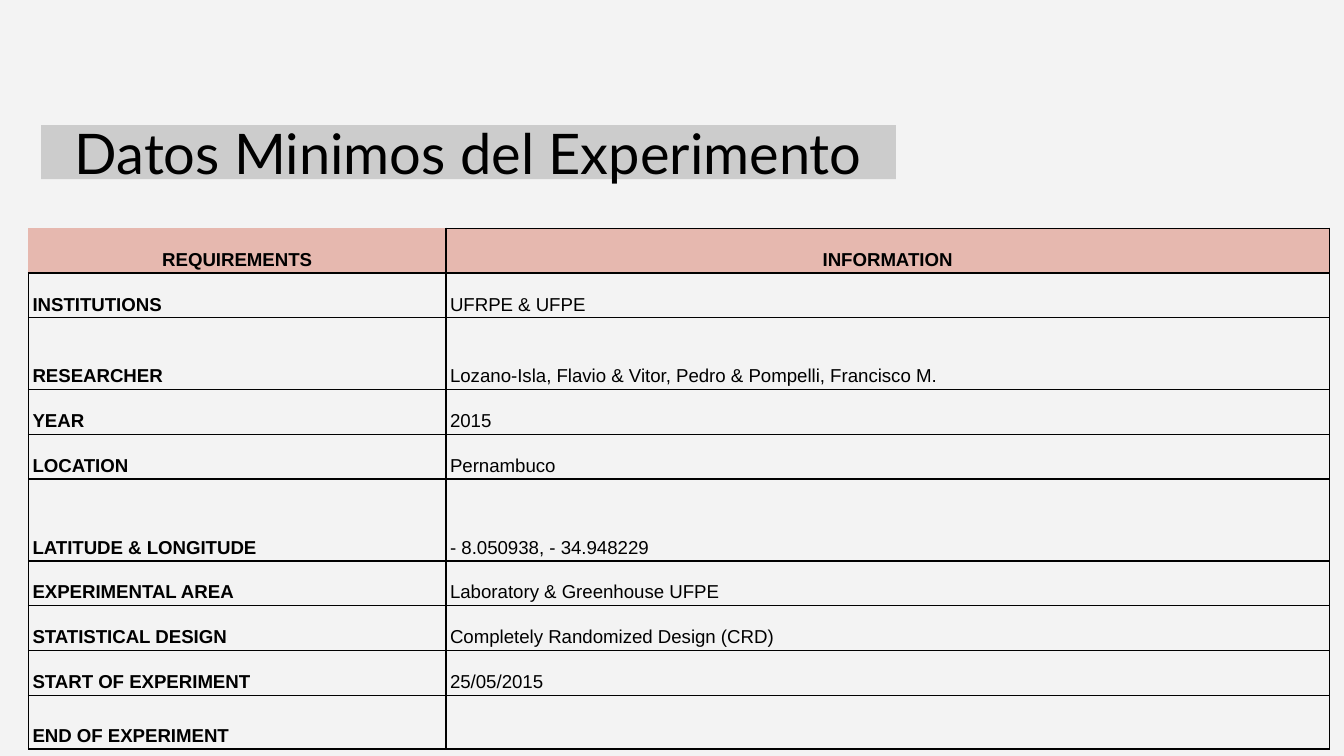
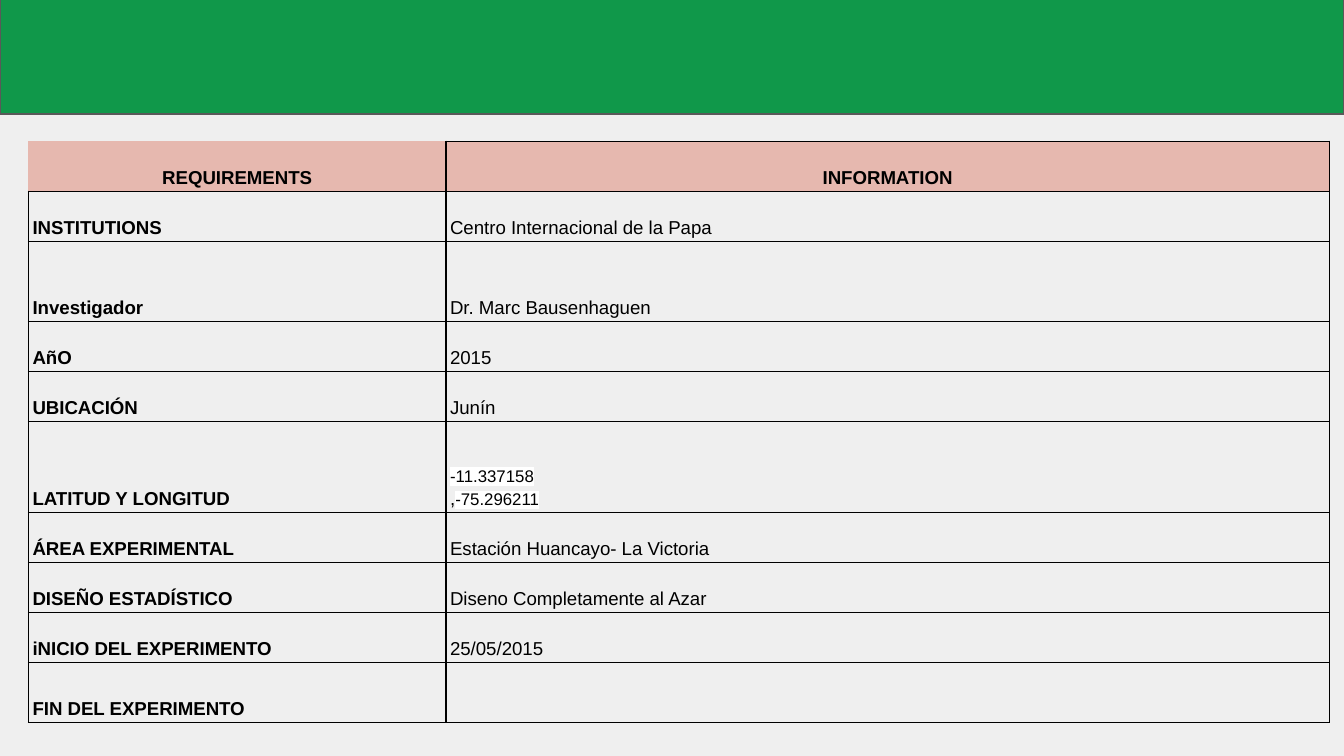
"""Builds two slides that list the minimum data of an experiment."""
from lxml import etree
from pptx import Presentation, util as u
from pptx.dml.color import RGBColor
from pptx.enum import shapes, text
from pptx.oxml import ns

COLORS = {
    "ink": "000000", "header": "E6B8AF", "title": "CCCCCC", "band": "10984A",
    "band_edge": "595959", "highlight": "FFFFFF",
}
HEADINGS = ("REQUIREMENTS", "INFORMATION")
COLUMN_WIDTHS = (223.7, 473.2)
ROW_FACTORS = (1, 1, 1.6, 1, 1, 1.83, 1, 1, 1, 1.2)
TABLE_LEFT = 15.2
BORDER = 0.75
SIDES = ("L", "R", "T", "B")

ENGLISH = {
    "background": "F3F3F3",
    "top": 122.3,
    "row_height": 24,
    "title": "Datos Minimos del Experimento",
    "rows": [
        ("INSTITUTIONS", "UFRPE & UFPE"),
        ("RESEARCHER", "Lozano-Isla, Flavio & Vitor, Pedro & Pompelli, Francisco M."),
        ("YEAR", "2015"),
        ("LOCATION", "Pernambuco"),
        ("LATITUDE & LONGITUDE", "- 8.050938, - 34.948229"),
        ("EXPERIMENTAL AREA", "Laboratory & Greenhouse UFPE"),
        ("STATISTICAL DESIGN", "Completely Randomized Design (CRD)"),
        ("START OF EXPERIMENT", "25/05/2015"),
        ("END OF EXPERIMENT", ""),
    ],
}
MARKED = {"size": 9, "highlight": COLORS["highlight"]}
SPANISH = {
    "background": "EFEFEF",
    "top": 75.6,
    "row_height": 26.8,
    "rows": [
        ("INSTITUTIONS", "Centro Internacional de la Papa"),
        ("Investigador", "Dr. Marc Bausenhaguen"),
        ("AñO", "2015"),
        ("UBICACIÓN", "Junín"),
        ("LATITUD Y LONGITUD",
         [[("-11.337158", MARKED)], [(",", {}), ("-75.296211", MARKED)]]),
        ("ÁREA EXPERIMENTAL", "Estación Huancayo- La Victoria"),
        ("DISEÑO ESTADÍSTICO", "Diseno Completamente al Azar"),
        ("iNICIO DEL EXPERIMENTO", "25/05/2015"),
        ("FIN DEL EXPERIMENTO", ""),
    ],
}


def rgb(value):
    return RGBColor.from_string(value)


def add_run(paragraph, words, size=10, bold=False, font="Arial", highlight=None):
    run = paragraph.add_run()
    run.text = words
    run.font.size, run.font.bold = u.Pt(size), bold
    run.font.color.rgb = rgb(COLORS["ink"])
    if highlight:
        mark = etree.Element(ns.qn("a:highlight"))
        etree.SubElement(mark, ns.qn("a:srgbClr"), val=highlight)
        run.font._element.find(ns.qn("a:solidFill")).addnext(mark)
    run.font.name = font


def set_borders(cell, visible):
    properties = cell._tc.get_or_add_tcPr()
    for position, side in enumerate(SIDES):
        line = etree.Element(ns.qn("a:ln" + side), w=str(u.Pt(BORDER)))
        if side in visible:
            fill = etree.SubElement(line, ns.qn("a:solidFill"))
            etree.SubElement(fill, ns.qn("a:srgbClr"), val=COLORS["ink"])
        else:
            etree.SubElement(line, ns.qn("a:noFill"))
        properties.insert(position, line)


def fill_cell(cell, content, header, bold):
    cell.vertical_anchor = text.MSO_ANCHOR.BOTTOM
    cell.margin_left = cell.margin_right = u.Pt(2.25)
    cell.margin_top = cell.margin_bottom = u.Pt(1.5)
    if header:
        cell.fill.solid()
        cell.fill.fore_color.rgb = rgb(COLORS["header"])
    else:
        cell.fill.background()
    lines = [[(content, {})]] if isinstance(content, str) else content
    for number, line in enumerate(lines):
        frame = cell.text_frame
        paragraph = frame.add_paragraph() if number else frame.paragraphs[0]
        paragraph.alignment = text.PP_ALIGN.CENTER if header else text.PP_ALIGN.LEFT
        paragraph.line_spacing = 1.15
        for words, style in line:
            if words:
                add_run(paragraph, words, bold=bold, **style)


def add_requirements(slide, page):
    rows = [HEADINGS] + page["rows"]
    heights = [page["row_height"] * factor for factor in ROW_FACTORS]
    table = slide.shapes.add_table(
        len(rows), len(HEADINGS), u.Pt(TABLE_LEFT), u.Pt(page["top"]),
        u.Pt(sum(COLUMN_WIDTHS)), u.Pt(sum(heights))).table
    table.first_row = table.horz_banding = False
    for column, width in zip(table.columns, COLUMN_WIDTHS):
        column.width = u.Pt(width)
    for r, (row, height) in enumerate(zip(rows, heights)):
        table.rows[r].height = u.Pt(height)
        for c, content in enumerate(row):
            cell = table.cell(r, c)
            fill_cell(cell, content, header=r == 0, bold=r == 0 or c == 0)
            set_borders(cell, "RB" if r == c == 0 else SIDES)


def add_bar(slide, left, top, width, height, color, edge=None):
    bar = slide.shapes.add_shape(
        shapes.MSO_SHAPE.RECTANGLE, *map(u.Pt, (left, top, width, height)))
    bar.shadow.inherit = False
    bar.fill.solid()
    bar.fill.fore_color.rgb = rgb(COLORS[color])
    if edge:
        bar.line.color.rgb = rgb(COLORS[edge])
        bar.line.width = u.Pt(BORDER)
    else:
        bar.line.fill.background()
    return bar


def add_title(slide, words):
    frame = add_bar(slide, 22, 67, 458, 29, "title").text_frame
    frame.word_wrap = True
    frame.vertical_anchor = text.MSO_ANCHOR.MIDDLE
    frame.margin_left = frame.margin_right = u.Pt(7.2)
    frame.margin_top = frame.margin_bottom = u.Pt(7.2)
    frame.paragraphs[0].alignment = text.PP_ALIGN.CENTER
    add_run(frame.paragraphs[0], words, size=30, font="Lato")


def main():
    deck = Presentation()
    deck.slide_width, deck.slide_height = u.Pt(720), u.Pt(405)
    for page in (ENGLISH, SPANISH):
        slide = deck.slides.add_slide(deck.slide_layouts[6])
        slide.background.fill.solid()
        slide.background.fill.fore_color.rgb = rgb(page["background"])
        if "title" not in page:
            add_bar(slide, 0, -4, 720, 65, "band", edge="band_edge")
        add_requirements(slide, page)
        if "title" in page:
            add_title(slide, page["title"])
    deck.save("out.pptx")


if __name__ == "__main__":
    main()
